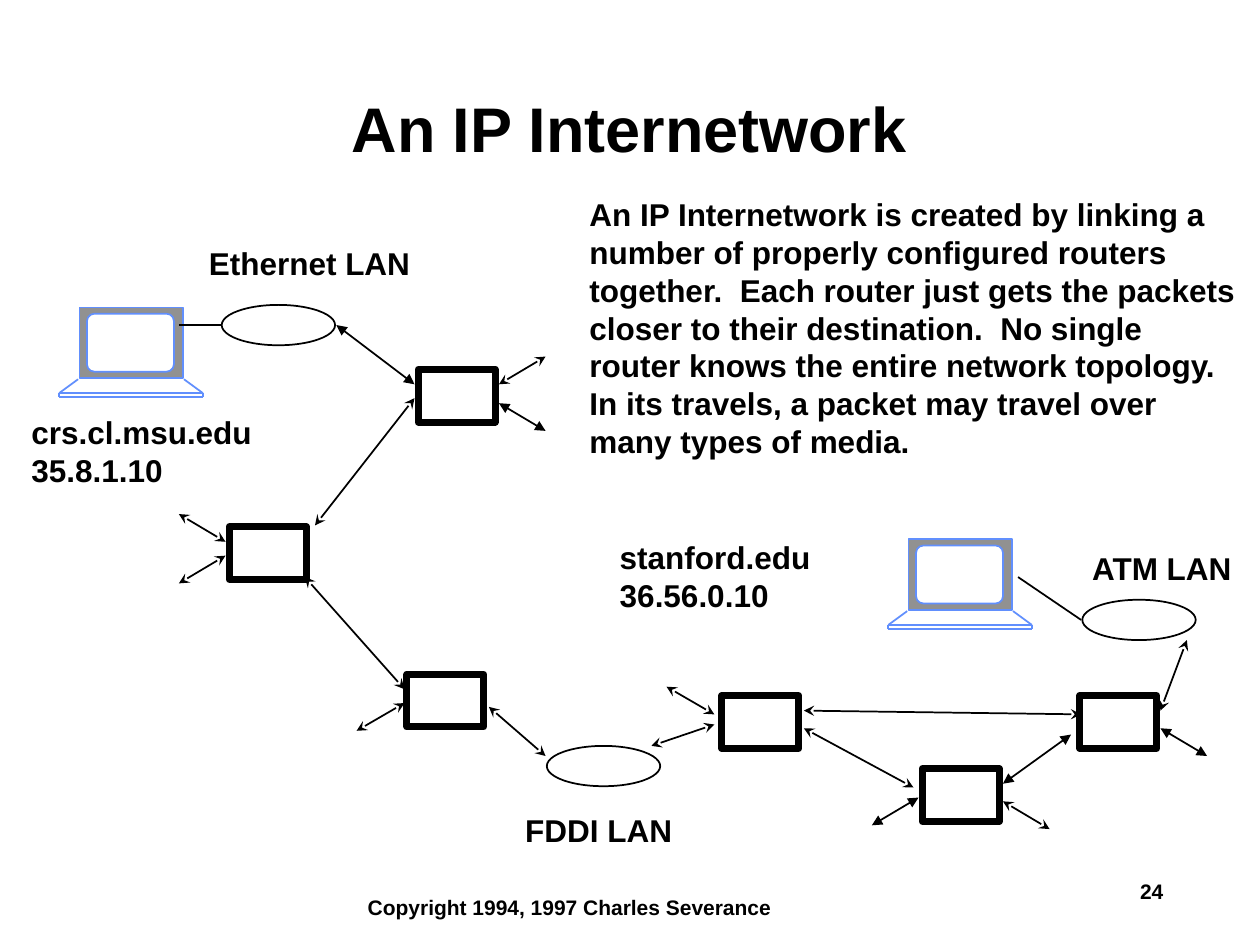
from pptx import Presentation
from pptx.dml.color import RGBColor
from pptx.enum.shapes import MSO_CONNECTOR, MSO_SHAPE
from pptx.enum.text import MSO_ANCHOR, MSO_AUTO_SIZE, PP_ALIGN
from pptx.oxml.ns import qn
from pptx.util import Inches, Pt
from lxml.etree import SubElement

COLORS = {"ink": "000000", "paper": "FFFFFF", "case": "919191", "outline": "618FFD"}
ROUTER_SIZE = (0.61, 0.42)
LAN_SIZE = (0.9, 0.32)

ROUTERS = [(3.32, 2.93), (1.82, 4.18), (3.23, 5.35),
           (5.73, 5.52), (7.32, 6.1), (8.57, 5.52)]
LANS = [(1.76, 2.42), (4.34, 5.92), (8.59, 4.76)]
COMPUTERS = [(0.47, 2.44), (7.05, 4.28)]

# Two-headed links by arrowhead: x1, y1, x2, y2
LINKS = {
    "triangle": [
        (2.67, 2.58, 3.29, 3.05), (3.96, 3.2, 4.33, 3.42),
        (7.96, 6.22, 8.5, 5.83), (6.92, 6.55, 7.29, 6.33),
        (9.21, 5.78, 9.58, 6),
    ],
    "stealth": [
        (3.96, 3.05, 4.33, 2.83), (2.5, 4.17, 3.29, 3.16),
        (1.42, 4.08, 1.79, 4.3), (1.42, 4.63, 1.79, 4.41),
        (2.42, 4.58, 3.21, 5.47), (3.88, 5.61, 4.33, 6),
        (2.83, 5.8, 3.21, 5.58), (6.38, 5.78, 7.25, 6.25),
        (6.38, 5.64, 8.58, 5.67), (5.17, 5.92, 5.67, 5.75),
        (7.96, 6.36, 8.33, 6.58), (9.21, 5.64, 9.42, 5.08),
        (5.29, 5.45, 5.67, 5.67),
    ],
}
# Plain wires between a computer and its LAN
WIRES = [(1.42, 2.58, 1.75, 2.58), (8.58, 4.92, 8.08, 4.58)]

# Text, left, top, width, height
LABELS = [
    ("Ethernet LAN", 1.56, 1.89, 1.8, 0.4),
    ("FDDI LAN", 4.07, 6.39, 1.37, 0.4),
    ("ATM LAN", 8.57, 4.31, 1.33, 0.4),
    ("crs.cl.msu.edu\n35.8.1.10", 0.15, 3.23, 1.95, 0.7),
    ("stanford.edu\n36.56.0.10", 4.82, 4.22, 1.79, 0.7),
]
EXPLANATION = (
    "An IP Internetwork is created by linking a number of properly configured "
    "routers together.  Each router just gets the packets closer to their "
    "destination.  No single router knows the entire network topology.  In its "
    "travels, a packet may travel over many types of media."
)


def rgb(name):
    return RGBColor.from_string(COLORS[name])


def write_text(shape, text, size=18, align=PP_ALIGN.LEFT, wrap=True,
               anchor=MSO_ANCHOR.TOP, spacing=None, grow=False):
    frame = shape.text_frame
    frame.text = text
    frame.word_wrap = wrap
    frame.vertical_anchor = anchor
    frame.auto_size = MSO_AUTO_SIZE.SHAPE_TO_FIT_TEXT if grow else MSO_AUTO_SIZE.NONE
    for paragraph in frame.paragraphs:
        paragraph.alignment = align
        paragraph.line_spacing = spacing
        paragraph.font.name = "Arial"
        paragraph.font.size = Pt(size)
        paragraph.font.bold = True
        paragraph.font.color.rgb = rgb("ink")


def add_label(slide, text, left, top, width, height, **text_format):
    box = slide.shapes.add_textbox(Inches(left), Inches(top), Inches(width), Inches(height))
    write_text(box, text, **text_format)


def add_box(shapes, kind, left, top, width, height, fill="paper", line="ink", weight=1):
    shape = shapes.add_shape(kind, Inches(left), Inches(top), Inches(width), Inches(height))
    shape.shadow.inherit = False
    shape.fill.solid()
    shape.fill.fore_color.rgb = rgb(fill)
    shape.line.color.rgb = rgb(line)
    shape.line.width = Pt(weight)
    return shape


def add_line(shapes, x1, y1, x2, y2, color="ink", arrow=None):
    connector = shapes.add_connector(
        MSO_CONNECTOR.STRAIGHT, Inches(x1), Inches(y1), Inches(x2), Inches(y2))
    connector.line.color.rgb = rgb(color)
    connector.line.width = Pt(1)
    properties = connector._element.spPr
    if arrow:
        outline = properties.find(qn("a:ln"))
        for end in ("a:headEnd", "a:tailEnd"):
            SubElement(outline, qn(end), type=arrow)
    SubElement(properties, qn("a:effectLst"))


def add_computer(slide, left, top):
    shapes = slide.shapes.add_group_shape().shapes
    # Screen
    add_box(shapes, MSO_SHAPE.RECTANGLE, left + 0.16, top, 0.82, 0.56, "case", "outline")
    screen = add_box(shapes, MSO_SHAPE.ROUNDED_RECTANGLE, left + 0.22, top + 0.05,
                     0.69, 0.46, line="outline")
    screen.adjustments[0] = 0.125
    # Keyboard: two long edges, then a slope and a short side at each end
    right, back, front, bottom = left + 1.14, top + 0.57, top + 0.68, top + 0.71
    for y in (front, bottom):
        add_line(shapes, left, y, right, y, "outline")
    for corner, inner in ((left, left + 0.15), (right, right - 0.15)):
        add_line(shapes, inner, back, corner, front, "outline")
        add_line(shapes, corner, front, corner, bottom, "outline")


def main():
    presentation = Presentation()
    presentation.slide_width, presentation.slide_height = Inches(10), Inches(7.5)
    slide = presentation.slides.add_slide(presentation.slide_layouts[5])

    # Title
    title = slide.shapes.title
    title.left, title.top = Inches(1.08), Inches(0.67)
    title.width, title.height = Inches(7.83), Inches(0.75)
    write_text(title, "An IP Internetwork", size=36, align=PP_ALIGN.CENTER,
               anchor=MSO_ANCHOR.MIDDLE, spacing=0.9)

    # Network nodes
    for position in ROUTERS:
        add_box(slide.shapes, MSO_SHAPE.RECTANGLE, *position, *ROUTER_SIZE, weight=4)
    for position in LANS:
        add_box(slide.shapes, MSO_SHAPE.OVAL, *position, *LAN_SIZE)
    for position in COMPUTERS:
        add_computer(slide, *position)

    # Links
    for arrow, links in LINKS.items():
        for link in links:
            add_line(slide.shapes, *link, arrow=arrow)
    for wire in WIRES:
        add_line(slide.shapes, *wire)

    # Labels and explanation
    for label in LABELS:
        add_label(slide, *label, wrap=False, grow=True)
    add_label(slide, EXPLANATION, 4.58, 1.5, 5.33, 2.2, grow=True)

    # Footer
    add_label(slide, "Copyright 1994, 1997 Charles Severance", 2.82, 7.05, 3.41, 0.3,
              size=12, wrap=False, grow=True)
    add_label(slide, "24", 8.95, 6.92, 1, 0.3, size=12)

    presentation.save("out.pptx")


if __name__ == "__main__":
    main()
